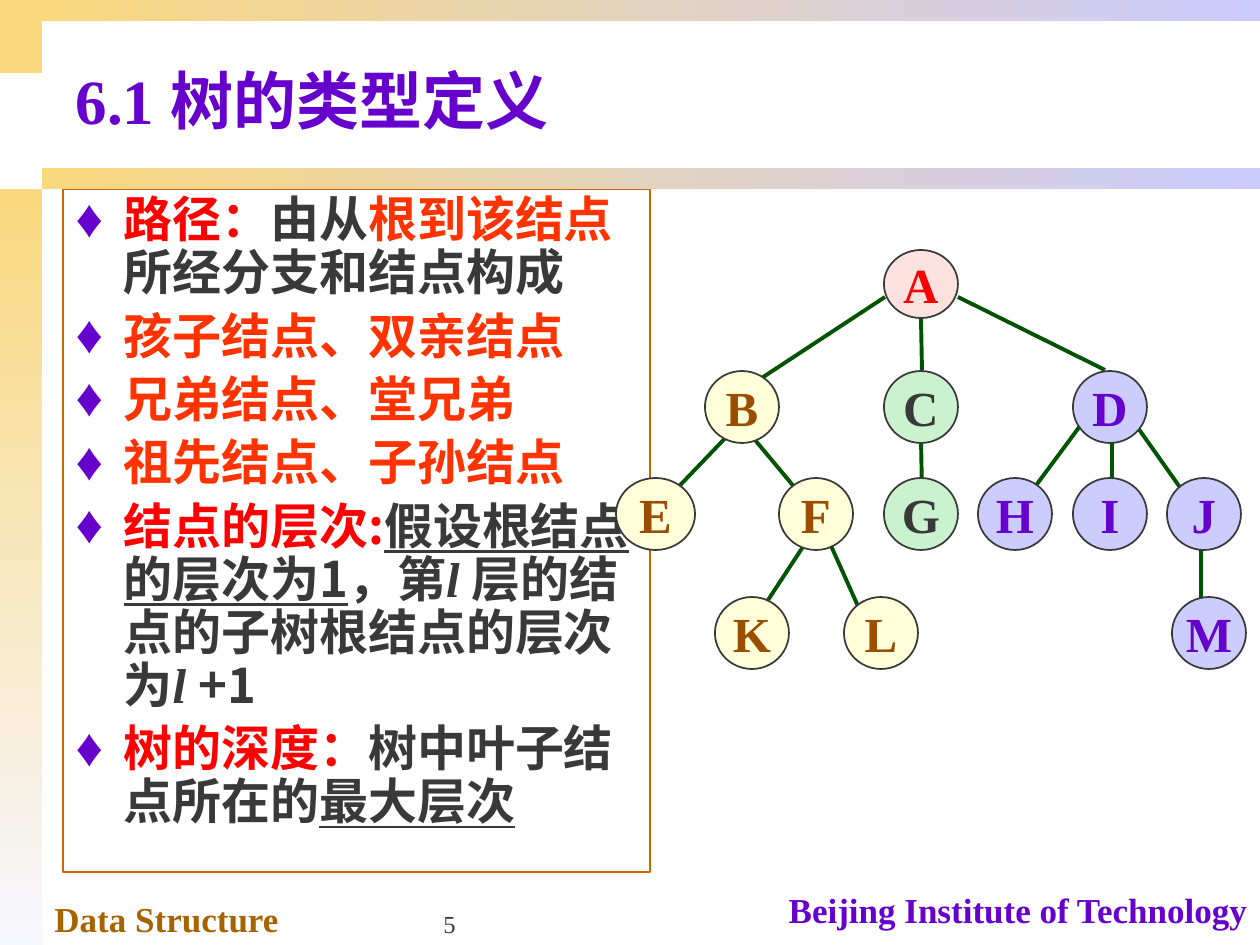
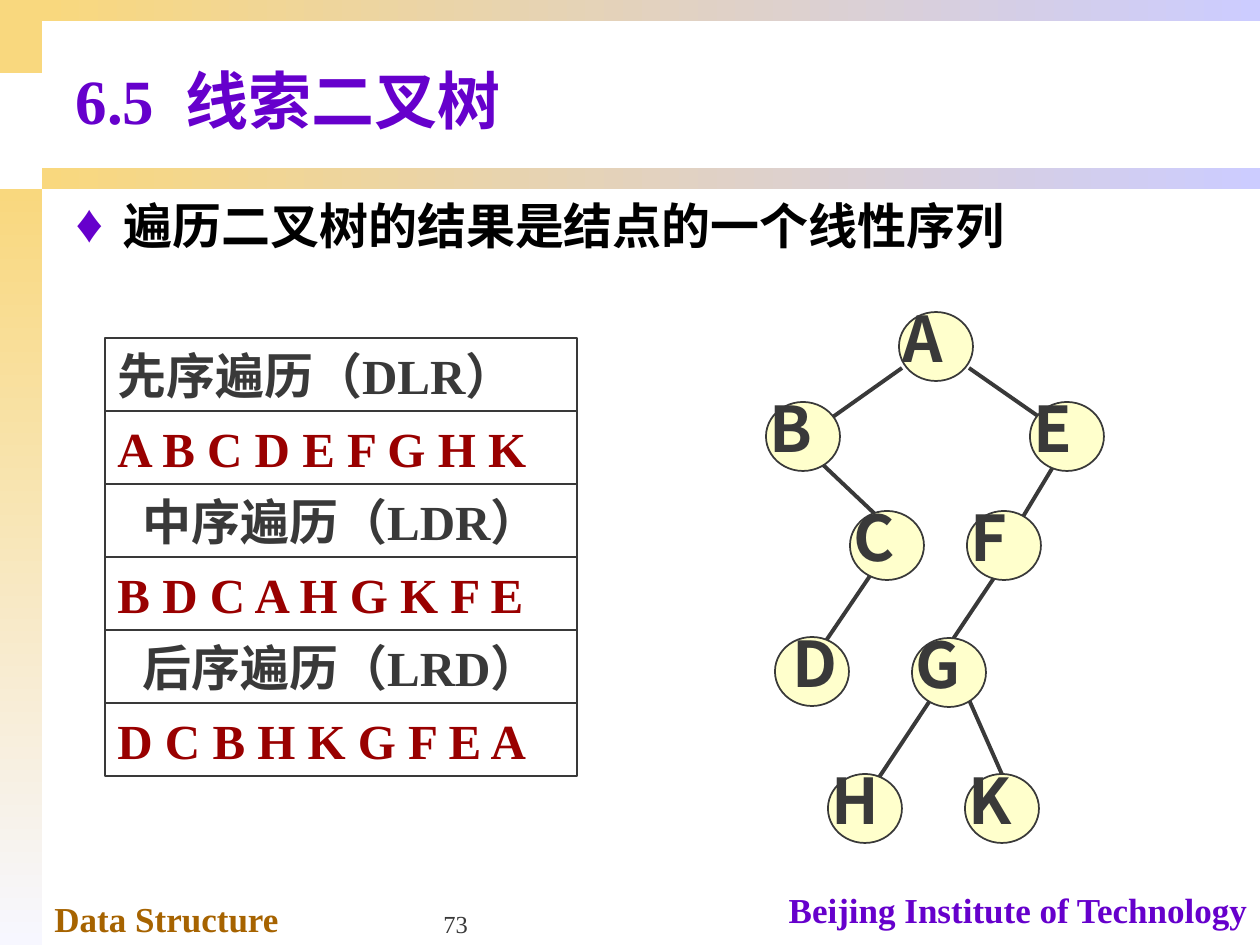
from lxml import etree
from pptx import Presentation
from pptx.dml.color import RGBColor
from pptx.enum.shapes import MSO_CONNECTOR, MSO_SHAPE
from pptx.enum.text import MSO_ANCHOR, MSO_AUTO_SIZE, PP_ALIGN
from pptx.oxml.ns import qn
from pptx.util import Emu, Pt

RECT, OVAL = MSO_SHAPE.RECTANGLE, MSO_SHAPE.OVAL
STRAIGHT = MSO_CONNECTOR.STRAIGHT
TOP, MIDDLE, BOTTOM = MSO_ANCHOR.TOP, MSO_ANCHOR.MIDDLE, MSO_ANCHOR.BOTTOM
LEFT, CENTER, RIGHT = PP_ALIGN.LEFT, PP_ALIGN.CENTER, PP_ALIGN.RIGHT
NO_FIT = MSO_AUTO_SIZE.NONE

PX_PER_INCH = 126
SERIF, SANS = "Times New Roman", "Noto Sans CJK SC"
COLORS = {
    "gold": "F9D87E", "pale": "F7F7FF", "lilac": "CCCCFF",
    "purple": "6600CC", "brown": "A66300", "ink": "393939",
    "black": "000000", "red": "FF0000", "orange": "FF3300",
    "frame": "CC6600", "dark_red": "990000", "branch": "005400",
    "rose": "FBE2DF", "cream": "FFFFD9", "mint": "CAF2CE",
    "umber": "9C4E00", "yellow": "FFFFCC",
}


def px(length):
    return Emu(round(length * 914400 / PX_PER_INCH))


def box_px(*lengths):
    return [px(length) for length in lengths]


def color(name):
    return RGBColor.from_string(COLORS[name])


# Text
def style_run(run, size, ink, font=SERIF, bold=True, italic=False,
              underline=False, spacing=0):
    run.font.size = Pt(size)
    run.font.bold = bold
    run.font.italic = italic
    run.font.underline = underline
    run.font.color.rgb = color(ink)
    run.font.name = font
    properties = run._r.get_or_add_rPr()
    if spacing:
        properties.set("spc", str(spacing * 100))
    etree.SubElement(properties, qn("a:ea")).set("typeface", SANS)


def set_frame(frame, anchor=TOP, wrap=True):
    frame.auto_size = NO_FIT
    frame.word_wrap = wrap
    frame.vertical_anchor = anchor


def write(shape, text, size, ink, align=LEFT, anchor=TOP, wrap=True, **style):
    frame = shape.text_frame
    set_frame(frame, anchor, wrap)
    frame.text = text
    paragraph = frame.paragraphs[0]
    paragraph.alignment = align
    paragraph.space_before = Pt(0)
    style_run(paragraph.runs[0], size, ink, **style)


def add_text(slide, box, text, size, ink, **style):
    write(slide.shapes.add_textbox(*box_px(*box)), text, size, ink, **style)


def add_bullet(paragraph):
    properties = paragraph._p.get_or_add_pPr()
    properties.set("marL", str(px(48)))
    properties.set("indent", str(-px(48)))
    bullet_color = etree.SubElement(properties, qn("a:buClr"))
    etree.SubElement(bullet_color, qn("a:srgbClr")).set("val", COLORS["purple"])
    etree.SubElement(properties, qn("a:buSzPct")).set("val", "110000")
    etree.SubElement(properties, qn("a:buFont")).set("typeface", SERIF)
    etree.SubElement(properties, qn("a:buChar")).set("char", "♦")


def place(placeholder, *box):
    (placeholder.left, placeholder.top,
     placeholder.width, placeholder.height) = box_px(*box)


def fill_title(slide, number, topic, spacing=0):
    title = slide.shapes.title
    place(title, 63, 32, 1197, 135)
    write(title, number, 36, "purple", anchor=MIDDLE)
    paragraph = title.text_frame.paragraphs[0]
    for text, gap in ((" ", spacing), (topic, 0)):
        run = paragraph.add_run()
        run.text = text
        style_run(run, 36, "purple", spacing=gap)


def fill_list(slide, items, width, line_spacing=1.0):
    """Each item is a list of (text, ink, style) pieces."""
    body = slide.placeholders[1]
    place(body, 63, 189, width, 683)
    frame = body.text_frame
    set_frame(frame)
    for index, pieces in enumerate(items):
        paragraph = frame.add_paragraph() if index else frame.paragraphs[0]
        add_bullet(paragraph)
        paragraph.line_spacing = line_spacing
        paragraph.space_before = Pt(6 if index else 0)
        for text, ink, style in pieces:
            run = paragraph.add_run()
            run.text = text
            style_run(run, 28, ink, **{"font": SANS, **style})
    return body


# Shapes
def add_shape(slide, kind, box, fill=None, line=None):
    shape = slide.shapes.add_shape(kind, *box_px(*box))
    shape.shadow.inherit = False
    if fill:
        shape.fill.solid()
        shape.fill.fore_color.rgb = color(fill)
    else:
        shape.fill.background()
    if line:
        shape.line.color.rgb = color(line)
        shape.line.width = Pt(1)
    else:
        shape.line.fill.background()
    return shape


def add_gradient_band(slide, box, end, angle):
    band = add_shape(slide, RECT, box)
    band.fill.gradient()
    band.fill.gradient_angle = angle
    for stop, name in zip(band.fill.gradient_stops, ("gold", end)):
        stop.color.rgb = color(name)


def add_edges(slide, edges, ink):
    for edge in edges:
        branch = slide.shapes.add_connector(STRAIGHT, *box_px(*edge))
        branch.line.color.rgb = color(ink)
        branch.line.width = Pt(2.25)
        etree.SubElement(branch._element.spPr, qn("a:effectLst"))


# Bands and footers on every slide
def start_slide(deck, page):
    slide = deck.slides.add_slide(deck.slide_layouts[1])
    add_shape(slide, RECT, (0, 0, 42, 73), "gold")
    add_gradient_band(slide, (0, 189, 42, 756), "pale", 270)
    for top in (168, 0):
        add_gradient_band(slide, (42, top, 1218, 21), "lilac", 0)
    add_text(slide, (42, 891, 441, 54), "Data Structure", 20, "brown")
    add_text(slide, (766, 882, 494, 54), "Beijing Institute of Technology",
             20, "purple", align=RIGHT)
    add_text(slide, (431, 882, 262, 63), page, 14, "ink",
             anchor=BOTTOM, bold=False)
    return slide


def build_tree_terms(deck):
    slide = start_slide(deck, "5")
    fill_title(slide, "6.1", "树的类型定义")
    level = {"font": SERIF, "italic": True}
    underlined = {"underline": True}
    terms = fill_list(slide, [
        [("路径：", "red", {}), ("由从", "ink", {}),
         ("根到该结点", "orange", {}), ("所经分支和结点构成", "ink", {})],
        [("孩子结点、双亲结点", "orange", {})],
        [("兄弟结点、堂兄弟", "orange", {})],
        [("祖先结点、子孙结点", "orange", {})],
        [("结点的层次:", "red", {}), ("假设根结点的层次为1", "ink", underlined),
         ("，第", "ink", {}), ("l ", "ink", level),
         ("层的结点的子树根结点的层次为", "ink", {}),
         ("l ", "ink", level), ("+1", "ink", {})],
        [("树的深度：", "red", {}), ("树中叶子结点所在的", "ink", {}),
         ("最大层次", "ink", underlined)],
    ], 587, 0.9)
    terms.line.color.rgb = color("frame")
    terms.line.width = Pt(1)

    add_edges(slide, [
        (885, 297, 745, 389), (921, 318, 922, 370), (958, 297, 1105, 370),
        (735, 428, 665, 501), (745, 428, 806, 501), (921, 438, 922, 491),
        (1086, 418, 1023, 503), (1112, 428, 1112, 501),
        (1131, 418, 1184, 493), (814, 530, 755, 620),
        (824, 530, 866, 624), (1201, 538, 1201, 638),
    ], "branch")

    # One colour pair for the root and one for each subtree
    subtrees = [
        ("rose", "red", {"A": (884, 250)}),
        ("cream", "umber", {"B": (705, 371), "E": (616, 478), "F": (779, 478),
                            "K": (715, 597), "L": (844, 597)}),
        ("mint", "ink", {"C": (884, 371), "G": (884, 478)}),
        ("lilac", "purple", {"D": (1073, 371), "H": (978, 478),
                             "I": (1073, 478), "J": (1167, 478),
                             "M": (1172, 597)}),
    ]
    special_sizes = {"A": (74, 68), "E": (79, 72)}
    for fill, ink, nodes in subtrees:
        for letter, corner in nodes.items():
            size = special_sizes.get(letter, (74, 72))
            node = add_shape(slide, OVAL, corner + size, fill, "ink")
            write(node, letter, 28, ink, align=CENTER, anchor=MIDDLE, wrap=False)


def build_traversals(deck):
    slide = start_slide(deck, "73")
    fill_title(slide, "6.5", "线索二叉树", spacing=9)
    fill_list(slide, [[("遍历二叉树的结果是结点的一个线性序列", "black",
                        {"font": SERIF})]], 1197)

    # Traversal orders: a heading row above each sequence row
    traversals = [
        ("先序遍历（DLR）", LEFT, "A B C D E F G H K"),
        ("中序遍历（LDR）", CENTER, "B D C A H G K F E"),
        ("后序遍历（LRD）", CENTER, "D C B H K G F E A"),
    ]
    row_height = 73
    for index, (heading, align, sequence) in enumerate(traversals):
        top = 338 + 2 * index * row_height
        rows = ((heading, align, "ink"), (sequence, LEFT, "dark_red"))
        for offset, (text, row_align, ink) in enumerate(rows):
            row = add_shape(slide, RECT, (105, top + offset * row_height,
                                          472, row_height), line="ink")
            write(row, text, 28, ink, align=row_align, anchor=MIDDLE)

    add_edges(slide, [
        (902, 368, 813, 431), (969, 368, 1058, 430), (820, 462, 876, 515),
        (1056, 462, 1018, 525), (876, 567, 819, 651), (1008, 557, 945, 651),
        (935, 693, 872, 788), (966, 693, 1008, 788),
    ], "ink")

    nodes = {"A": (899, 312), "B": (766, 402), "C": (850, 511),
             "D": (775, 637), "E": (1030, 402), "F": (967, 511),
             "G": (912, 638), "H": (828, 774), "K": (965, 774)}
    for letter, (left, top) in nodes.items():
        add_shape(slide, OVAL, (left, top, 74, 69), "yellow", "ink")
        label_left = left + (5 if letter == "D" else -9)
        add_text(slide, (label_left, top - 19, 110, 88), letter, 36, "ink",
                 font=SANS)


def main():
    deck = Presentation()
    deck.slide_width, deck.slide_height = box_px(1260, 945)
    build_tree_terms(deck)
    build_traversals(deck)
    deck.save("out.pptx")


if __name__ == "__main__":
    main()
